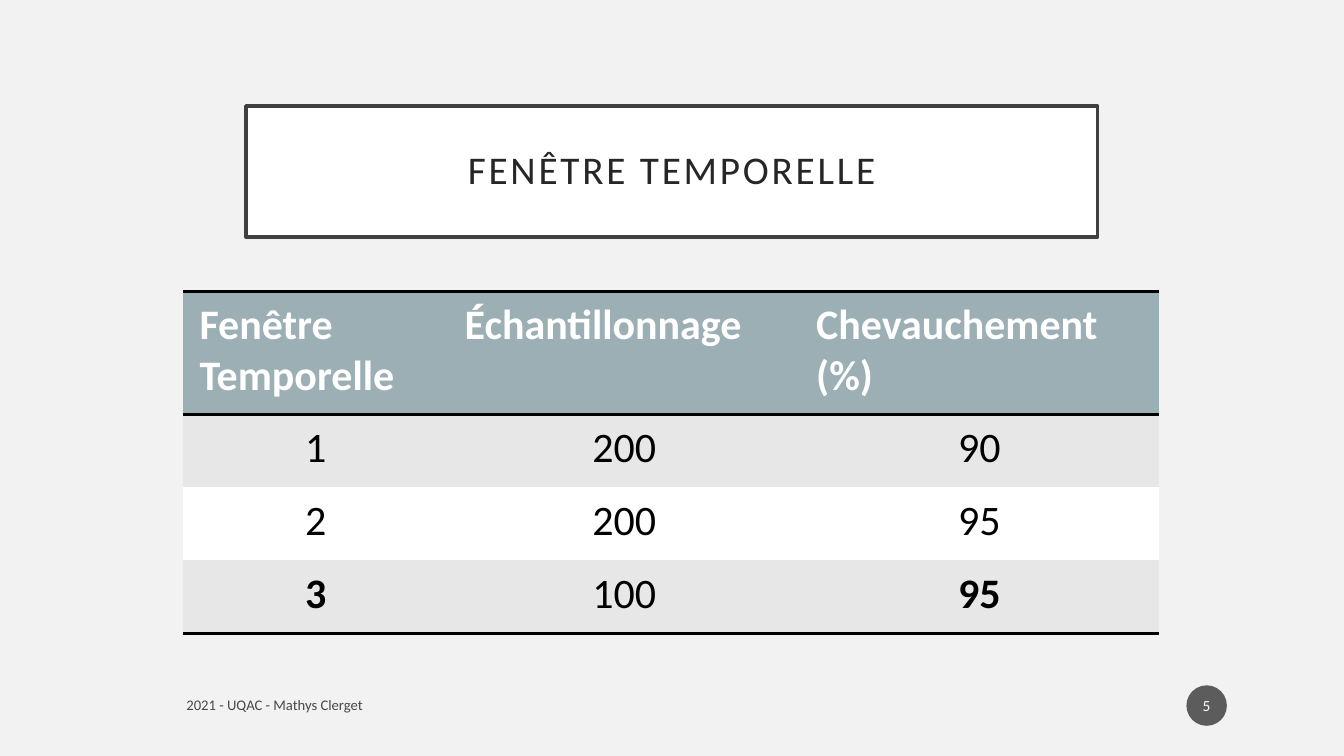
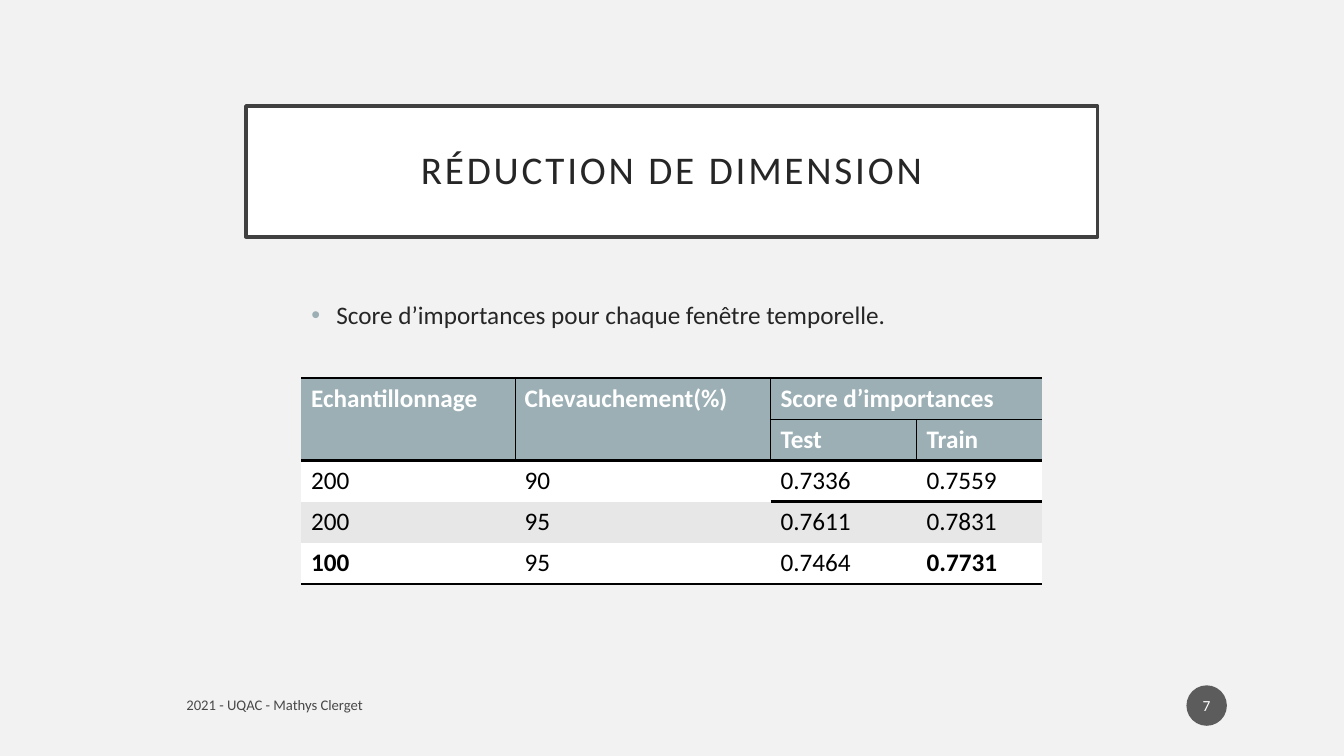
import pptx
import pptx.dml.color
import pptx.enum.shapes
import pptx.enum.text
import pptx.oxml
import pptx.oxml.ns
import pptx.util

Cm, Pt = pptx.util.Cm, pptx.util.Pt
qn = pptx.oxml.ns.qn
ALIGN = pptx.enum.text.PP_ALIGN
MIDDLE = pptx.enum.text.MSO_ANCHOR.MIDDLE

FONT = "Calibri"
WHITE, BLACK, INK = "FFFFFF", "000000", "262626"
BACKDROP, FRAME, BADGE = "F2F2F2", "404040", "1D1D1D"
ACCENT, BAND = "9BAFB5", "E7E7E7"
OPACITY = 70
NO_GRID_STYLE = "{2D5ABB26-0587-4C30-8999-92F81FD0307C}"
SIDES = "LRTB"


def paint(fill, color):
    """Make a fill solid in a hex colour."""
    fill.solid()
    fill.fore_color.rgb = pptx.dml.color.RGBColor.from_string(color)


def write(frame, text, size, color, bold=False, align=ALIGN.LEFT):
    """Put one formatted paragraph in a text frame and return it."""
    para = frame.paragraphs[0]
    para.alignment = align
    span = para.add_run()
    span.text = text
    for name, value in {"name": FONT, "size": Pt(size), "bold": bold}.items():
        setattr(span.font, name, value)
    paint(span.font.fill, color)
    return para


# Each border rule: side, width in points, rows, columns
slides = [
    {
        "title": "FENÊTRE TEMPORELLE", "number": "5", "layout": 5,
        "left": 4.62, "top": 7.34, "size": 30, "align": ALIGN.CENTER,
        "columns": [6.68, 8.86, 9.04], "rows": [3.1, 1.84, 1.84, 1.84],
        "margins": (0.41, 0.2), "headers": 1, "bands": [BAND, WHITE],
        "cells": [
            ["Fenêtre Temporelle", "Échantillonnage", "Chevauchement (%)"],
            ["1", "200", "90"],
            ["2", "200", "95"],
            ["3", "100", "95"],
        ],
        "bold": [(3, 0), (3, 2)], "merges": [],
        "borders": [
            ("T", 2, [0], range(3)),
            ("B", 2, [0, 3], range(3)),
        ],
    },
    {
        "title": "RÉDUCTION DE DIMENSION", "number": "7", "layout": 1,
        "bullet": "Score d’importances pour chaque fenêtre temporelle.",
        "left": 7.59, "top": 9.53, "size": 18, "align": ALIGN.LEFT,
        "columns": [5.38, 6.45, 3.68, 3.15], "rows": [1.03] * 5,
        "margins": (0.25, 0.13), "headers": 2, "bands": [WHITE, BAND],
        "cells": [
            ["Echantillonnage", "Chevauchement(%)", "Score d’importances", ""],
            ["", "", "Test", "Train"],
            ["200", "90", "0.7336", "0.7559"],
            ["200", "95", "0.7611", "0.7831"],
            ["100", "95", "0.7464", "0.7731"],
        ],
        "bold": [(4, 0), (4, 3)],
        "merges": [((0, 0), (1, 0)), ((0, 1), (1, 1)), ((0, 2), (0, 3))],
        "borders": [
            ("T", 2, [0], range(4)),
            ("R", 0.25, [0, 1], [0, 1]),
            ("R", 0.25, [1], [2]),
            ("B", 0.25, [0], [2, 3]),
            ("B", 2, [0, 1], [0, 1]),
            ("B", 2.25, [1, 2], [2, 3]),
            ("B", 2, [4], range(4)),
        ],
    },
]

deck = pptx.Presentation()
deck.slide_width, deck.slide_height = Cm(33.87), Cm(19.05)
paint(deck.slide_master.background.fill, BACKDROP)

for content in slides:
    page = deck.slides.add_slide(deck.slide_layouts[content["layout"]])

    title = page.shapes.title
    title.left, title.top, title.width, title.height = Cm(6.2), Cm(2.67), Cm(21.46), Cm(3.3)
    paint(title.fill, WHITE)
    paint(title.line.fill, FRAME)
    title.line.width = Pt(2.5)
    frame = title.text_frame
    frame.auto_size = pptx.enum.text.MSO_AUTO_SIZE.NONE
    frame.vertical_anchor = MIDDLE
    for side in ("left", "right", "top", "bottom"):
        setattr(frame, f"margin_{side}", Cm(0.5))
    para = write(frame, content["title"], 28, INK, align=ALIGN.CENTER)
    para.line_spacing = 0.9
    para.runs[0].font._element.set("spc", "200")

    if "bullet" in content:
        body = page.placeholders[1]
        body.left, body.top, body.width, body.height = Cm(7.59), Cm(7.42), Cm(18.67), Cm(2.41)
        body.text_frame.auto_size = pptx.enum.text.MSO_AUTO_SIZE.NONE
        para = write(body.text_frame, content["bullet"], 18, INK)
        para.space_before = Pt(10)
        properties = para._p.get_or_add_pPr()
        properties.set("marL", str(Pt(18)))
        properties.set("indent", str(-Pt(18)))
        bullet_color = pptx.oxml.ns.nsdecls("a")
        properties.append(pptx.oxml.parse_xml(
            f'<a:buClr {bullet_color}><a:srgbClr val="{ACCENT}"/></a:buClr>'))
        properties.append(pptx.oxml.parse_xml(f'<a:buChar {bullet_color} char="•"/>'))

    widths, heights = content["columns"], content["rows"]
    holder = page.shapes.add_table(
        len(heights), len(widths), Cm(content["left"]), Cm(content["top"]),
        Cm(sum(widths)), Cm(sum(heights)))
    table = holder.table
    next(holder.element.iter(qn("a:tableStyleId"))).text = NO_GRID_STYLE
    for column, width in zip(table.columns, widths):
        column.width = Cm(width)
    for row, height in zip(table.rows, heights):
        row.height = Cm(height)
    for first, last in content["merges"]:
        table.cell(*first).merge(table.cell(*last))

    across, down = content["margins"]
    for r, texts in enumerate(content["cells"]):
        header = r < content["headers"]
        band = content["bands"][(r - content["headers"]) % 2]
        for c, text in enumerate(texts):
            cell = table.cell(r, c)
            cell.margin_left = cell.margin_right = Cm(across)
            cell.margin_top = cell.margin_bottom = Cm(down)
            rules = [rule for rule in content["borders"] if r in rule[2] and c in rule[3]]
            for side, width, _, _ in sorted(rules, key=lambda rule: SIDES.index(rule[0])):
                cell._tc.get_or_add_tcPr().append(pptx.oxml.parse_xml(
                    f'<a:ln{side} {pptx.oxml.ns.nsdecls("a")} w="{Pt(width)}"><a:solidFill>'
                    f'<a:srgbClr val="{BLACK}"/></a:solidFill></a:ln{side}>'))
            paint(cell.fill, ACCENT if header else band)
            if text:
                write(cell.text_frame, text, content["size"], WHITE if header else BLACK,
                      header or (r, c) in content["bold"],
                      ALIGN.LEFT if header else content["align"])

    footer = page.shapes.add_textbox(Cm(4.45), Cm(17.32), Cm(16.38), Cm(0.89))
    footer.text_frame.word_wrap = True
    footer.text_frame.vertical_anchor = MIDDLE
    write(footer.text_frame, "2021 - UQAC - Mathys Clerget", 10.5, BLACK)

    badge = page.shapes.add_shape(
        pptx.enum.shapes.MSO_SHAPE.OVAL, Cm(29.9), Cm(17.27), Cm(1.02), Cm(1.02))
    badge.shadow.inherit = False
    paint(badge.fill, BADGE)
    badge.line.fill.background()
    badge.text_frame.vertical_anchor = MIDDLE
    badge.text_frame.margin_left = badge.text_frame.margin_right = Cm(0.05)
    write(badge.text_frame, content["number"], 11, WHITE, align=ALIGN.CENTER)

    # The first colour is the footer's text and the badge's fill
    for shape in (footer, badge):
        color = next(shape.element.iter(qn("a:srgbClr")))
        color.append(pptx.oxml.parse_xml(
            f'<a:alpha {pptx.oxml.ns.nsdecls("a")} val="{OPACITY * 1000}"/>'))

deck.save("out.pptx")
